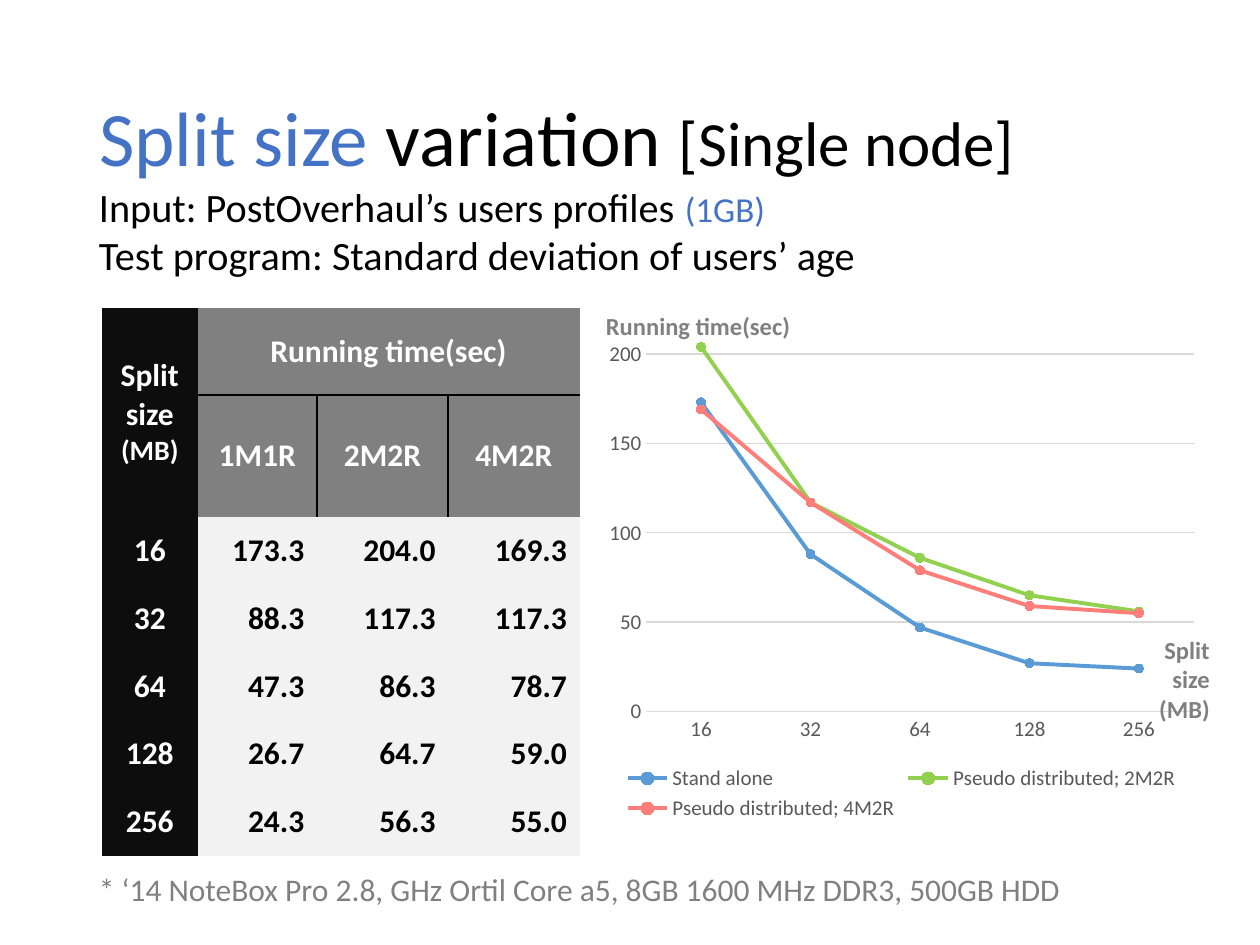
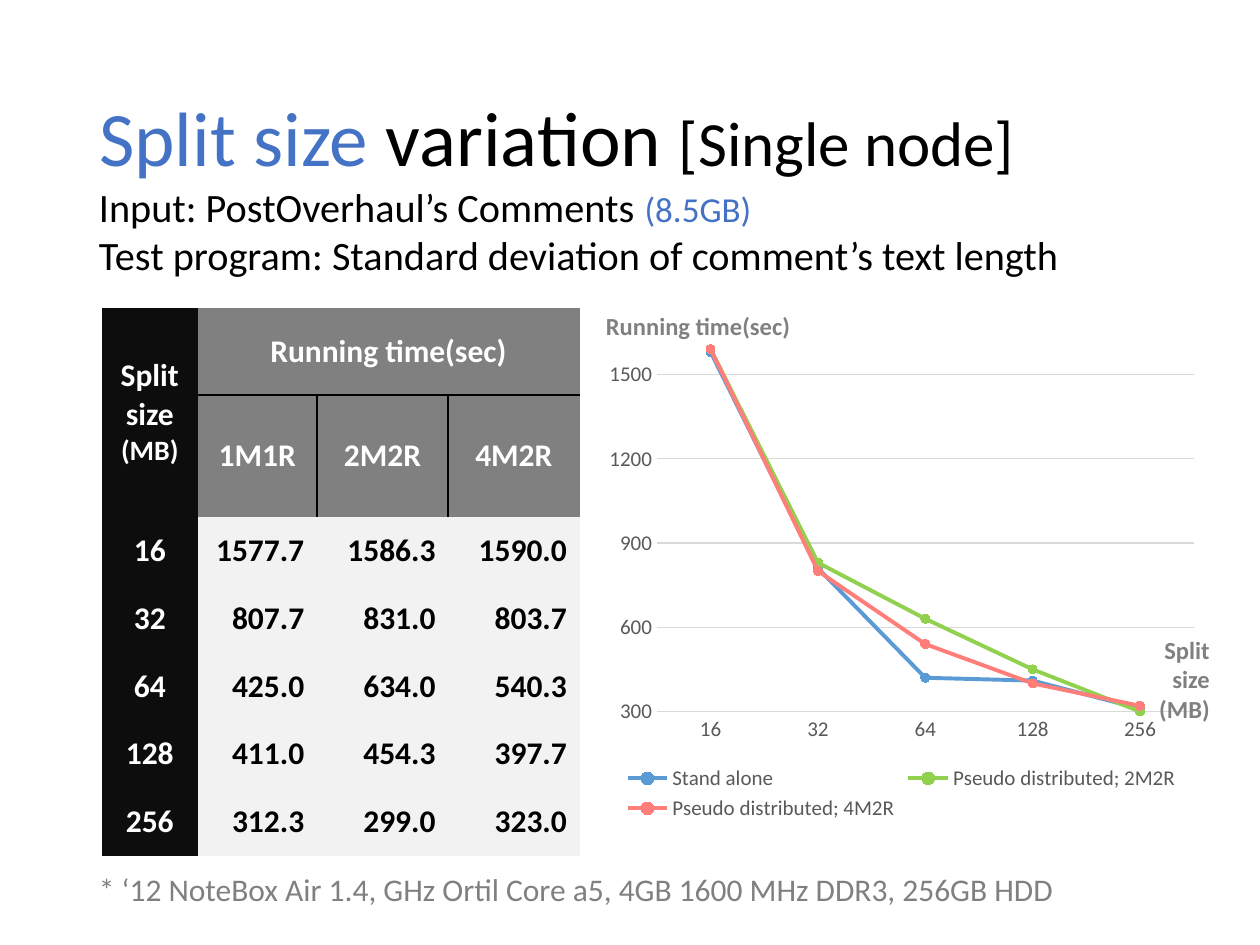
from collections import namedtuple

from lxml.etree import SubElement
from pptx import Presentation
from pptx.chart.data import CategoryChartData
from pptx.dml.color import RGBColor
from pptx.enum.chart import XL_CHART_TYPE as Chart, XL_LEGEND_POSITION as Legend
from pptx.enum.chart import XL_MARKER_STYLE as Marker, XL_TICK_MARK as Tick
from pptx.enum.text import MSO_ANCHOR as Anchor, MSO_AUTO_SIZE as Auto, PP_ALIGN as Align
from pptx.oxml.ns import qn
from pptx.util import Inches, Pt

FONT = "Calibri"
C = {
    "accent": "4472C4", "black": "000000", "white": "FFFFFF", "gray": "808080",
    "label": "0D0D0D", "cell": "F2F2F2", "axis_text": "595959", "grid": "D9D9D9",
    "alone": "5B9BD5", "two_maps": "92D050", "four_maps": "FF7E79",
}
COLS, ROWS = 100, 75
CELL = Inches(0.1)
NO_STYLE = "{2D5ABB26-0587-4C30-8999-92F81FD0307C}"
SPLITS = ["16", "32", "64", "128", "256"]
MODES = ["1M1R", "2M2R", "4M2R"]
SERIES = [("Stand alone", "alone"), ("Pseudo distributed; 2M2R", "two_maps"),
          ("Pseudo distributed; 4M2R", "four_maps")]

Box = namedtuple("Box", "x y w h")
TITLE = Box(6.87, 4, 86.2, 14.5)
SETUP = Box(6.87, 13.95, 99.6, 8.8)
TABLE = Box(8.1, 24.45, 37.9, 39.7)
CHART = Box(47.4, 24.45, 48.3, 41.1)
NOTE = Box(6.87, 68.6, 80.5, 4)

RUNS = [
    dict(data="PostOverhaul’s users profiles ", size="(1GB)", test="users’ age",
         note="* ‘14 NoteBox Pro 2.8, GHz Ortil Core a5, 8GB 1600 MHz DDR3, 500GB HDD",
         axis=(0, 220, 50), digits=0,
         times=[(173.3, 204.0, 169.3), (88.3, 117.3, 117.3), (47.3, 86.3, 78.7),
                (26.7, 64.7, 59.0), (24.3, 56.3, 55.0)]),
    dict(data="PostOverhaul’s Comments ", size="(8.5GB)", test="comment’s text length",
         note="* ‘12 NoteBox Air 1.4, GHz Ortil Core a5, 4GB 1600 MHz DDR3, 256GB HDD",
         axis=(300, 1700, 300), digits=-1,
         times=[(1577.7, 1586.3, 1590.0), (807.7, 831.0, 803.7), (425.0, 634.0, 540.3),
                (411.0, 454.3, 397.7), (312.3, 299.0, 323.0)]),
]


def rgb(name):
    return RGBColor.from_string(C[name])


def emu(box):
    return [round(v * CELL) for v in box]


def style(font, size, color, bold=False):
    font.name, font.size, font.bold = FONT, Pt(size), bold
    font.color.rgb = rgb(color)


def add_text(p, text, size=18, color="black", bold=False):
    for i, line in enumerate(text.split("\n")):
        if i:
            p.add_line_break()
        if line:
            r = p.add_run()
            r.text = line
            style(r.font, size, color, bold)


def write(tf, paragraphs, align=Align.LEFT, **fmt):
    for i, runs in enumerate(paragraphs):
        p = tf.add_paragraph() if i else tf.paragraphs[0]
        p.alignment = align
        for text, own in runs:
            add_text(p, text, **{**fmt, **own})


def text_box(s, box, paragraphs, wrap=False, **fmt):
    tf = s.shapes.add_textbox(*emu(box)).text_frame
    tf.word_wrap = wrap
    write(tf, paragraphs, **fmt)


def place_title(s, box):
    sp = s.shapes.title
    sp.left, sp.top, sp.width, sp.height = emu(box)
    tf = sp.text_frame
    tf.auto_size, tf.vertical_anchor = Auto.NONE, Anchor.MIDDLE
    write(tf, [[("Split size ", dict(color="accent")), ("variation ", {}),
                ("[Single node]", dict(size=36))]], size=44)
    tf.paragraphs[0].line_spacing = 0.9


def place_setup(s, box, run):
    text_box(s, box, [
        [("Input: " + run["data"], {}), (run["size"], dict(size=20, color="accent"))],
        [("Test program: Standard deviation of " + run["test"], {})],
    ], wrap=True, size=23)


def set_cell(cell, runs, fill, align=Align.CENTER, color="white", borders=""):
    cell.vertical_anchor = Anchor.MIDDLE
    tcPr = cell._tc.get_or_add_tcPr()
    for side in "LRTB":
        ln = SubElement(tcPr, qn("a:ln" + side), w=str(Pt(1)))
        if side in borders:
            SubElement(SubElement(ln, qn("a:solidFill")), qn("a:srgbClr"), val=C["black"])
        else:
            SubElement(ln, qn("a:noFill"))
    cell.fill.solid()
    cell.fill.fore_color.rgb = rgb(fill)
    if runs:
        write(cell.text_frame, [runs], align, color=color, bold=True)


def place_table(s, box, times):
    tbl = s.shapes.add_table(len(times) + 2, 4, *emu(box)).table
    tbl.first_row = tbl.horz_banding = False
    tbl._tbl.tblPr.find(qn("a:tableStyleId")).text = NO_STYLE
    for col, share in zip(tbl.columns, (0.2, 0.25, 0.275, 0.275)):
        col.width = round(box.w * share * CELL)
    for row, height in zip(tbl.rows, [6.9, 5.9] + [5.38] * len(times)):
        row.height = round(height * CELL)

    tbl.cell(0, 0).merge(tbl.cell(1, 0))
    tbl.cell(0, 1).merge(tbl.cell(0, 3))
    set_cell(tbl.cell(0, 0), [("Split size\n", {}), ("(MB)", dict(size=16))], "label")
    set_cell(tbl.cell(1, 0), [], "label")
    for c, (mode, sides) in enumerate(zip(MODES, ("RT", "LRT", "LT")), 1):
        set_cell(tbl.cell(0, c), [("Running time(sec)", {})] if c == 1 else [],
                 "gray", borders="B")
        set_cell(tbl.cell(1, c), [(mode, {})], "gray", borders=sides)
    for r, (split, values) in enumerate(zip(SPLITS, times), 2):
        set_cell(tbl.cell(r, 0), [(split, {})], "label")
        for c, value in enumerate(values, 1):
            set_cell(tbl.cell(r, c), [(f"{value:.1f}", {})], "cell", Align.RIGHT, "black")


def set_line(line, color, width):
    line.color.rgb = rgb(color)
    line.width = Pt(width)


def place_chart(s, box, times, limits, digits):
    data = CategoryChartData()
    data.categories = SPLITS
    for (name, _), values in zip(SERIES, zip(*times)):
        data.add_series(name, [int(round(v, digits)) for v in values])
    chart = s.shapes.add_chart(Chart.LINE_MARKERS, *emu(box), data).chart
    chart.has_title = False
    style(chart.font, 10, "black")
    chart.has_legend = True
    chart.legend.position = Legend.BOTTOM
    chart.legend.include_in_layout = False
    style(chart.legend.font, 12, "axis_text")

    cat, val = chart.category_axis, chart.value_axis
    for axis in (cat, val):
        axis.major_tick_mark = axis.minor_tick_mark = Tick.NONE
        style(axis.tick_labels.font, 12, "axis_text")
    set_line(cat.format.line, "grid", 0.75)
    val.format.line.fill.background()
    val.minimum_scale, val.maximum_scale, val.major_unit = limits
    val.tick_labels.number_format = "General"
    val.tick_labels.number_format_is_linked = False
    val.has_major_gridlines = True
    set_line(val.major_gridlines.format.line, "grid", 0.75)

    plot = chart.plots[0]
    plot.vary_by_categories = False
    for series, (_, color) in zip(plot.series, SERIES):
        series.smooth = False
        set_line(series.format.line, color, 2.25)
        marker = series.marker
        marker.style, marker.size = Marker.CIRCLE, 5
        marker.format.fill.solid()
        marker.format.fill.fore_color.rgb = rgb(color)
        set_line(marker.format.line, color, 0.75)

    label = dict(align=Align.RIGHT, size=14, color="gray", bold=True)
    text_box(s, Box(box.x - 0.5, box.y - 0.25, 16.8, 3.4),
             [[("Running time(sec)", {})]], **label)
    text_box(s, Box(box.x + box.w - 4.8, box.y + 25.45, 6.1, 8.1),
             [[("Split\nsize", {})], [("(MB)", {})]], **label)


def build_slide(prs, run):
    s = prs.slides.add_slide(prs.slide_layouts.get_by_name("Title Only"))
    place_title(s, TITLE)
    text_box(s, NOTE, [[(run["note"], {})]], color="gray")
    place_setup(s, SETUP, run)
    place_table(s, TABLE, run["times"])
    place_chart(s, CHART, run["times"], run["axis"], run["digits"])


def main():
    prs = Presentation()
    prs.slide_width, prs.slide_height = COLS * CELL, ROWS * CELL
    for run in RUNS:
        build_slide(prs, run)
    prs.save("out.pptx")


if __name__ == "__main__":
    main()
